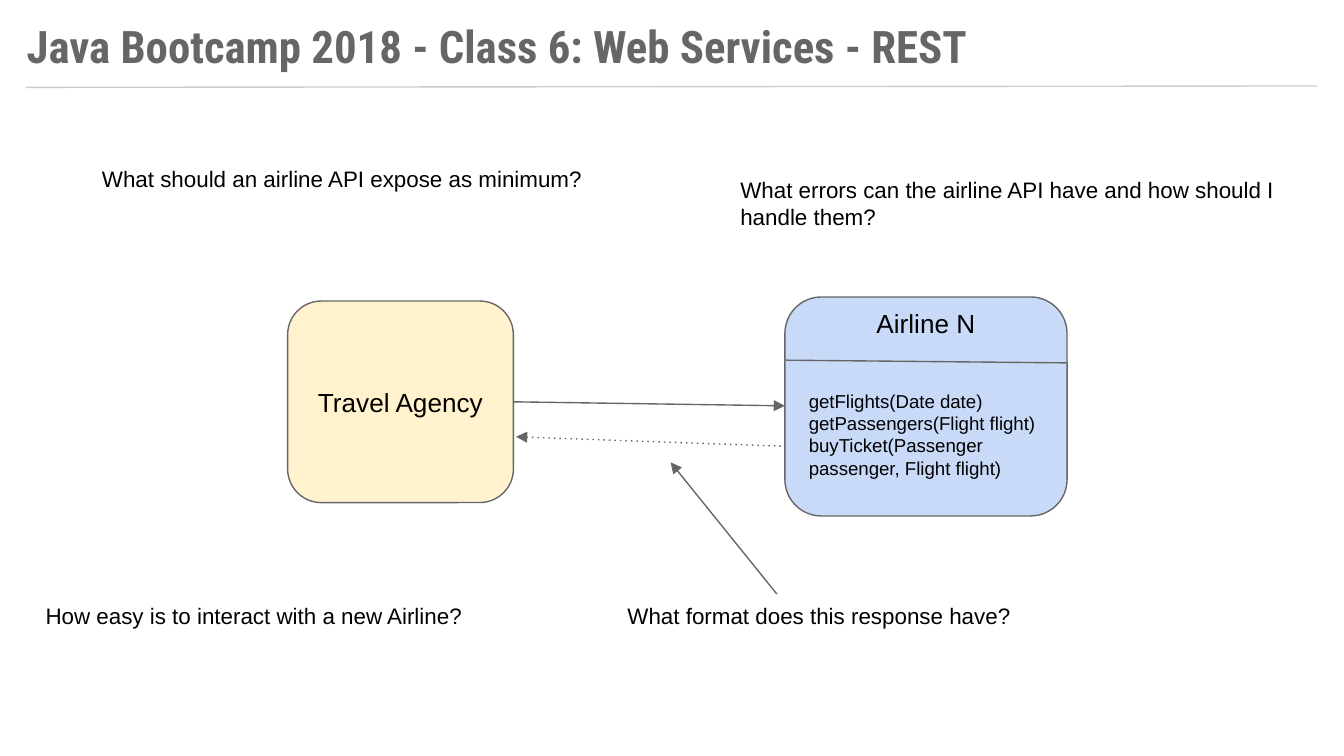
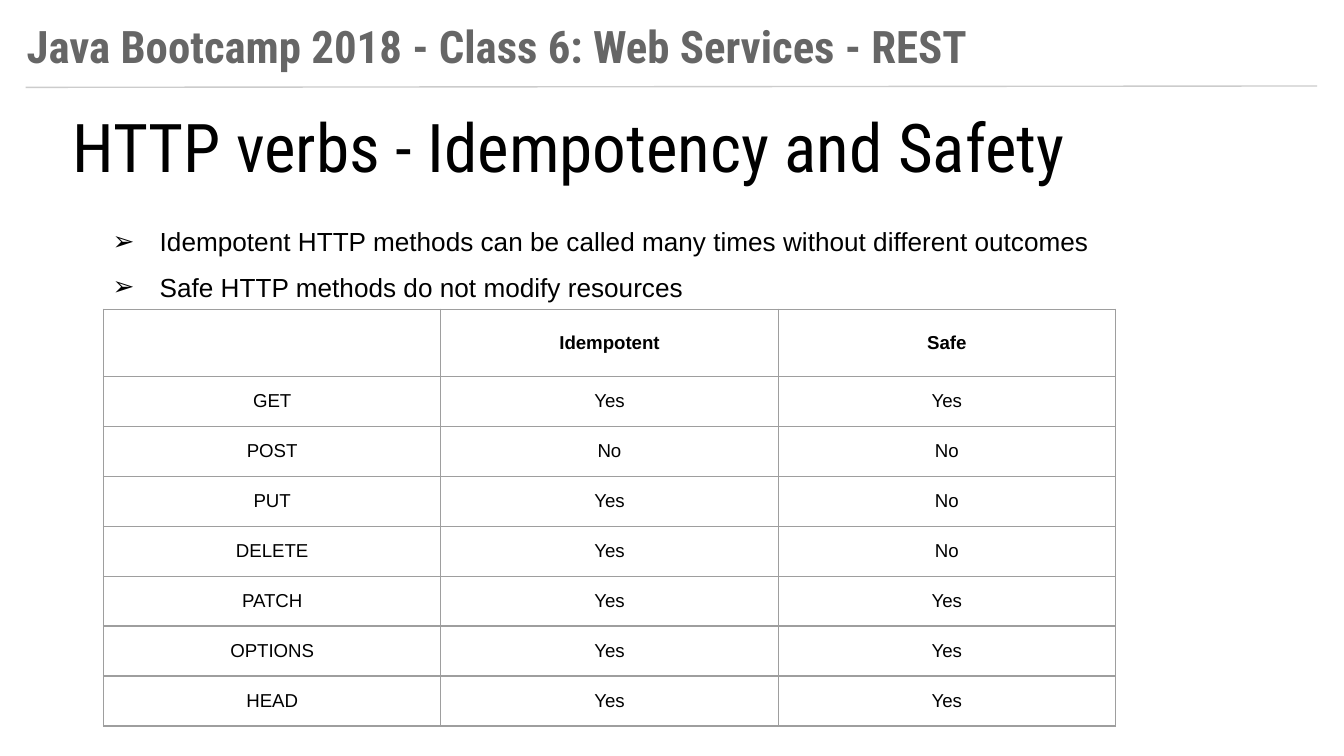
from pptx import Presentation
from pptx.dml.color import RGBColor
from pptx.enum.shapes import MSO_CONNECTOR as Link, MSO_SHAPE as Form
from pptx.enum.text import MSO_ANCHOR as Anchor, PP_ALIGN as Align
from pptx.oxml.ns import qn
from pptx.util import Inches, Pt
from lxml.etree import SubElement as Sub

COLS, ROWS = 100, 56.25  # grid of tenth-inch cells
BLACK, GREY, RULE, EDGE = "000000", "666666", "CCCCCC", "9E9E9E"
CREAM, BLUE = "FFF2CC", "C9DAF8"
SANS, HEAD = "Arial", "Roboto Condensed"
THIN = Pt(0.75)
PAD = 1


def cells(n):
    return Inches(n / 10)


def color(code):
    return RGBColor.from_string(code)


def write(frame, *lines, size=12, font=SANS, ink=BLACK, bold=False,
          align=Align.LEFT, gap=0, mark=None, more=False):
    """Fill a frame with one paragraph per line, or add to it."""
    for i, line in enumerate(lines):
        para = frame.add_paragraph() if more or i else frame.paragraphs[0]
        para.alignment = align
        if gap and i == 0:
            para.space_before = Pt(gap)
        if mark:
            bullet(para, mark)
        run = para.add_run()
        run.text = line
        face = run.font
        face.size, face.name, face.bold = Pt(size), font, bold
        face.color.rgb = color(ink)


def bullet(para, mark):
    para.line_spacing = 1.5
    props = para._p.get_or_add_pPr()
    props.set("marL", str(cells(5)))
    props.set("indent", str(cells(-3.5)))
    tint = Sub(props, qn("a:buClr"))
    Sub(tint, qn("a:srgbClr"), val=BLACK)
    Sub(props, qn("a:buFont"), typeface=SANS)
    Sub(props, qn("a:buChar"), char=mark)


def pad(frame, top=PAD):
    frame.word_wrap = True
    frame.margin_left = frame.margin_right = frame.margin_bottom = cells(PAD)
    frame.margin_top = cells(top)


def label(slide, place, text, **style):
    box = slide.shapes.add_textbox(*map(cells, place))
    pad(box.text_frame)
    write(box.text_frame, text, **style)


def node(slide, place, fill, anchor=Anchor.MIDDLE, top=PAD):
    """Rounded box; returns its text frame."""
    box = slide.shapes.add_shape(Form.ROUNDED_RECTANGLE, *map(cells, place))
    box.shadow.inherit = False
    box.fill.solid()
    box.fill.fore_color.rgb = color(fill)
    box.line.color.rgb = color(GREY)
    box.line.width = THIN
    frame = box.text_frame
    pad(frame, top)
    frame.vertical_anchor = anchor
    return frame


def line(slide, start, end, ink=GREY, dash=None, arrow=False):
    link = slide.shapes.add_connector(Link.STRAIGHT, *map(cells, start + end))
    link.line.color.rgb = color(ink)
    link.line.width = THIN
    props = link._element.spPr
    stroke = props.find(qn("a:ln"))
    if dash:
        Sub(stroke, qn("a:prstDash"), val=dash)
    if arrow:
        Sub(stroke, qn("a:tailEnd"), type="triangle")
    Sub(props, qn("a:effectLst"))


def border(cell):
    props = cell._tc.get_or_add_tcPr()
    for side in "LRTB":
        stroke = Sub(props, qn(f"a:ln{side}"), w=str(THIN))
        fill = Sub(stroke, qn("a:solidFill"))
        Sub(fill, qn("a:srgbClr"), val=EDGE)


def grid(slide, left, top, width, heights, data):
    count = len(data[0])
    frame = slide.shapes.add_table(
        len(data), count, cells(left), cells(top),
        cells(width * count), cells(sum(heights)))
    table = frame.table
    table.first_row = table.horz_banding = False
    for col in table.columns:
        col.width = cells(width)
    for r, (row, high) in enumerate(zip(data, heights)):
        table.rows[r].height = cells(high)
        for c, text in enumerate(row):
            cell = table.cell(r, c)
            border(cell)
            cell.fill.background()
            cell.vertical_anchor = Anchor.MIDDLE
            cell.margin_left = cell.margin_right = cells(PAD)
            cell.margin_top = cell.margin_bottom = cells(PAD)
            if text:
                write(cell.text_frame, text, size=10, bold=r == 0,
                      align=Align.CENTER)


def page(deck):
    """Blank slide with the shared title and rule."""
    slide = deck.slides.add_slide(deck.slide_layouts[6])
    line(slide, (1.9, 6.5), (98, 6.4), ink=RULE)
    label(slide, (1, 0.4, 78.4, 5),
          "Java Bootcamp 2018 - Class 6: Web Services - REST",
          size=24, font=HEAD, ink=GREY, bold=True)
    return slide


def airline(deck):
    slide = page(deck)

    # Agency and airline
    agency = node(slide, (21.4, 22.4, 16.8, 15), CREAM)
    write(agency, "Travel Agency", size=14, align=Align.CENTER)
    api = node(slide, (58.4, 22.1, 21, 16.3), BLUE, Anchor.TOP, top=0)
    write(api, "Airline N", size=14, align=Align.CENTER)
    write(api, "getFlights(Date date)", "getPassengers(Flight flight)",
          "buyTicket(Passenger passenger, Flight flight)",
          size=10, gap=27, more=True)
    line(slide, (58.5, 26.8), (79.3, 27))

    # Request, response and pointer
    line(slide, (38.2, 29.9), (58.4, 30.2), arrow=True)
    line(slide, (58.1, 33.2), (38.4, 32.5), dash="dot", arrow=True)
    line(slide, (57.8, 44.2), (49.9, 34.4), arrow=True)

    # Questions
    for left, top, width, text in (
            (45.7, 43.8, 37.5, "What format does this response have?"),
            (2.4, 43.8, 37.5, "How easy is to interact with a new Airline?"),
            (6.6, 11.3, 38.9, "What should an airline API expose as minimum?"),
            (54.1, 12.1, 43.9, "What errors can the airline API have and "
                               "how should I handle them?")):
        label(slide, (left, top, width, 6.5), text)


def verbs(deck):
    slide = page(deck)
    label(slide, (4.4, 6.8, 80.2, 7.8), "HTTP verbs - Idempotency and Safety",
          size=36, font=HEAD)

    # Definitions
    for i, text in enumerate((
            "Idempotent HTTP methods can be called many times "
            "without different outcomes",
            "Safe HTTP methods do not modify resources")):
        label(slide, (5.9, 14.6 + 3.4 * i, 77, 5), text, size=14, mark="➢")

    # Verb table
    data = [("", "Idempotent", "Safe"),
            ("GET", "Yes", "Yes"),
            ("POST", "No", "No"),
            ("PUT", "Yes", "No"),
            ("DELETE", "Yes", "No"),
            ("PATCH", "Yes", "Yes"),
            ("OPTIONS", "Yes", "Yes"),
            ("HEAD", "Yes", "Yes")]
    grid(slide, 7.7, 23, 25.1, [4.8] + [3.72] * (len(data) - 1), data)


def main():
    deck = Presentation()
    deck.slide_width, deck.slide_height = cells(COLS), cells(ROWS)
    airline(deck)
    verbs(deck)
    deck.save("out.pptx")


if __name__ == "__main__":
    main()
